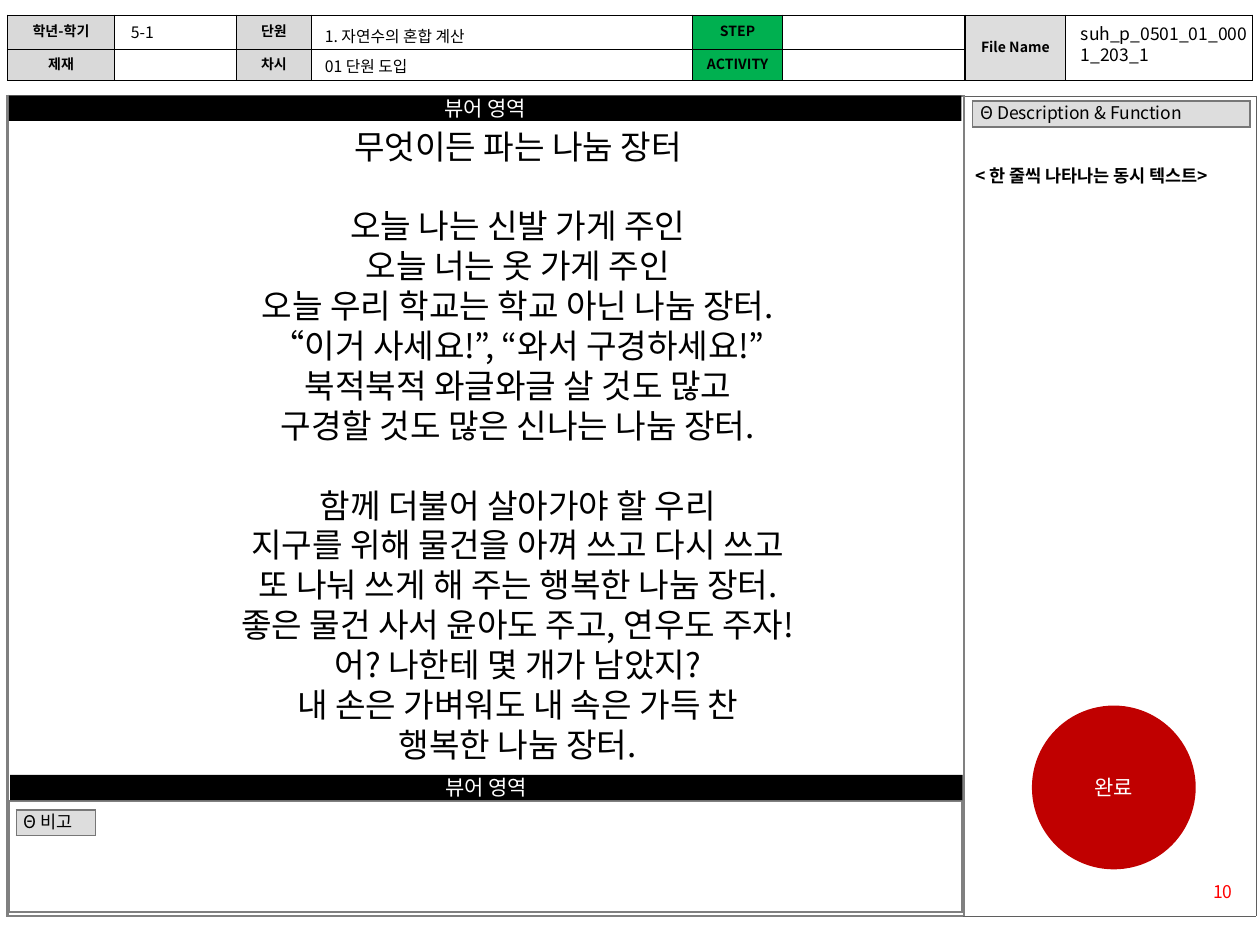
import pptx
import pptx.util
import pptx.dml.color
import pptx.enum.shapes
import pptx.enum.text
import pptx.oxml.ns
from lxml import etree

Inches = pptx.util.Inches
Pt = pptx.util.Pt
Align = pptx.enum.text.PP_ALIGN
Anchor = pptx.enum.text.MSO_ANCHOR
Preset = pptx.enum.shapes.MSO_SHAPE
qn = pptx.oxml.ns.qn

FONT = "Noto Sans CJK KR"
COLORS = {
    "black": "000000", "white": "FFFFFF", "red": "FF0000", "done": "C00000",
    "label": "D9D9D9", "panel": "DDDDDD", "step": "00B050",
    "thin": "5F5F5F", "frame": "808080", "tag": "777777",
}
HEADER_COLUMNS = [0.85, 0.97, 0.59, 3.03, 0.71, 1.45, 0.8, 1.48]
HEADER_ROWS = [0.27, 0.25]
HEADER_LABELS = [
    (0, 0, "학년-학기", "label"), (0, 2, "단원", "label"),
    (0, 4, "STEP", "step"), (0, 6, "File Name", "panel"),
    (1, 0, "제재", "label"), (1, 2, "차시", "label"),
    (1, 4, "ACTIVITY", "step"),
]
HEADER_VALUES = [
    ("5-1", (0.94, 0.13, 0.94, 0.24), 9, Align.LEFT),
    ("1. 자연수의 혼합 계산", (2.48, 0.16, 3.03, 0.16), 9, Align.LEFT),
    ("01 단원 도입", (2.48, 0.4, 2.99, 0.24), 9, Align.LEFT),
    ("suh_p_0501_01_0001_203_1", (8.48, 0.13, 1.52, 0.42), 10, Align.JUSTIFY),
]
TAGS = [
    ("Θ 비고", (0.13, 6.43, 0.63, 0.2)),
    ("Θ Description & Function", (7.72, 0.8, 2.2, 0.21)),
]
VIEWER_BARS = [(0.07, 0.76, 7.56, 0.2), (0.08, 6.15, 7.56, 0.2)]
POEM = [
    ["무엇이든 파는 나눔 장터"],
    [
        "오늘 나는 신발 가게 주인",
        "오늘 너는 옷 가게 주인",
        "오늘 우리 학교는 학교 아닌 나눔 장터.",
        "“이거 사세요!”, “와서 구경하세요!”",
        "북적북적 와글와글 살 것도 많고",
        "구경할 것도 많은 신나는 나눔 장터.",
    ],
    [
        "함께 더불어 살아가야 할 우리",
        "지구를 위해 물건을 아껴 쓰고 다시 쓰고",
        "또 나눠 쓰게 해 주는 행복한 나눔 장터.",
        "좋은 물건 사서 윤아도 주고, 연우도 주자!",
        "어? 나한테 몇 개가 남았지?",
        "내 손은 가벼워도 내 속은 가득 찬",
        "행복한 나눔 장터.",
    ],
]
POEM_SIZE = 19
LINE_FACTOR = 1.2


def rgb(name):
    return pptx.dml.color.RGBColor.from_string(COLORS[name])


def format_paragraph(paragraph, size, color="black", bold=False, align=Align.LEFT):
    paragraph.alignment = align
    paragraph.line_spacing = Pt(size * LINE_FACTOR)
    for run in paragraph.runs:
        run.font.size = Pt(size)
        run.font.bold = bold
        run.font.name = FONT
        run.font.color.rgb = rgb(color)
        east_asian = etree.SubElement(run.font._element, qn("a:ea"))
        east_asian.set("typeface", FONT)


def add_text(slide, text, box, size, align=Align.LEFT, **style):
    shape = slide.shapes.add_textbox(*map(Inches, box))
    shape.text_frame.word_wrap = True
    shape.text_frame.text = text
    for paragraph in shape.text_frame.paragraphs:
        format_paragraph(paragraph, size, align=align, **style)
    return shape


def add_filled_shape(slide, preset, text, box, color):
    shape = slide.shapes.add_shape(preset, *map(Inches, box))
    shape.shadow.inherit = False
    shape.fill.solid()
    shape.fill.fore_color.rgb = rgb(color)
    shape.line.fill.background()
    shape.text_frame.text = text
    shape.text_frame.vertical_anchor = Anchor.MIDDLE
    format_paragraph(shape.text_frame.paragraphs[0], 12, "white", align=Align.CENTER)


def set_borders(cell, color, width):
    properties = cell._tc.get_or_add_tcPr()
    for position, side in enumerate(("lnL", "lnR", "lnT", "lnB")):
        line = etree.Element(qn("a:" + side), w=str(Pt(width)))
        fill = etree.SubElement(line, qn("a:solidFill"))
        etree.SubElement(fill, qn("a:srgbClr"), val=COLORS[color])
        properties.insert(position, line)


def add_grid(slide, left, top, columns, rows, border, width):
    frame = slide.shapes.add_table(
        len(rows), len(columns), Inches(left), Inches(top),
        Inches(sum(columns)), Inches(sum(rows)))
    table = frame.table
    table.first_row = table.horz_banding = False
    for column, size in zip(table.columns, columns):
        column.width = Inches(size)
    for row, size in zip(table.rows, rows):
        row.height = Inches(size)
    for cell in table.iter_cells():
        cell.fill.background()
        cell.margin_top = cell.margin_bottom = Inches(0.01)
        cell.margin_left = cell.margin_right = Inches(0.06)
        cell.vertical_anchor = Anchor.MIDDLE
        paragraph = cell.text_frame.paragraphs[0]
        etree.SubElement(paragraph._p, qn("a:endParaRPr"), sz="800")
        set_borders(cell, border, width)
    return table


def fill_cell(cell, text, color, size, **style):
    cell.fill.solid()
    cell.fill.fore_color.rgb = rgb(color)
    cell.text_frame.text = text
    format_paragraph(cell.text_frame.paragraphs[0], size, **style)


def add_header(slide):
    table = add_grid(slide, 0.06, 0.12, HEADER_COLUMNS, HEADER_ROWS, "black", 0.75)
    for column in (6, 7):
        table.cell(0, column).merge(table.cell(1, column))
    for row, column, text, color in HEADER_LABELS:
        fill_cell(table.cell(row, column), text, color, 8, bold=True, align=Align.CENTER)
    for text, box, size, align in HEADER_VALUES:
        add_text(slide, text, box, size, align)


def add_poem(slide):
    lines = [line for stanza in POEM for line in stanza]
    shape = add_text(slide, "\n".join(lines), (1.06, 0.95, 6.1, 5.17), POEM_SIZE, Align.CENTER)
    stanza_starts = [stanza[0] for stanza in POEM[1:]]
    for paragraph in shape.text_frame.paragraphs:
        if paragraph.text in stanza_starts:
            paragraph.space_before = Pt(POEM_SIZE * LINE_FACTOR)


def main():
    presentation = pptx.Presentation()
    presentation.slide_width = Inches(10)
    presentation.slide_height = Inches(7.5)
    slide = presentation.slides.add_slide(presentation.slide_layouts[6])

    panels = add_grid(slide, 0.06, 0.76, [7.59, 2.32], [6.51], "frame", 1.5)
    description = panels.cell(0, 1)
    for line in list(description._tc.tcPr)[1:4]:
        line.set("w", str(Pt(0.25)))
        line.find(".//" + qn("a:srgbClr")).set("val", COLORS["thin"])
    add_header(slide)
    add_grid(slide, 0.07, 6.36, [7.57], [0.88], "frame", 1.5)
    for text, (left, top, width, height) in TAGS:
        table = add_grid(slide, left, top, [width], [height], "tag", 1)
        fill_cell(table.cell(0, 0), text, "panel", 10)
    for box in VIEWER_BARS:
        add_filled_shape(slide, Preset.RECTANGLE, "뷰어 영역", box, "black")
    add_poem(slide)
    add_text(slide, "< 한 줄씩 나타나는 동시 텍스트>", (7.64, 1.26, 2.36, 0.3), 10, bold=True)
    add_filled_shape(slide, Preset.OVAL, "완료", (8.19, 5.6, 1.3, 1.3), "done")
    add_text(slide, "10", (9.21, 6.94, 0.67, 0.27), 10, Align.RIGHT, color="red")
    presentation.save("out.pptx")


if __name__ == "__main__":
    main()
